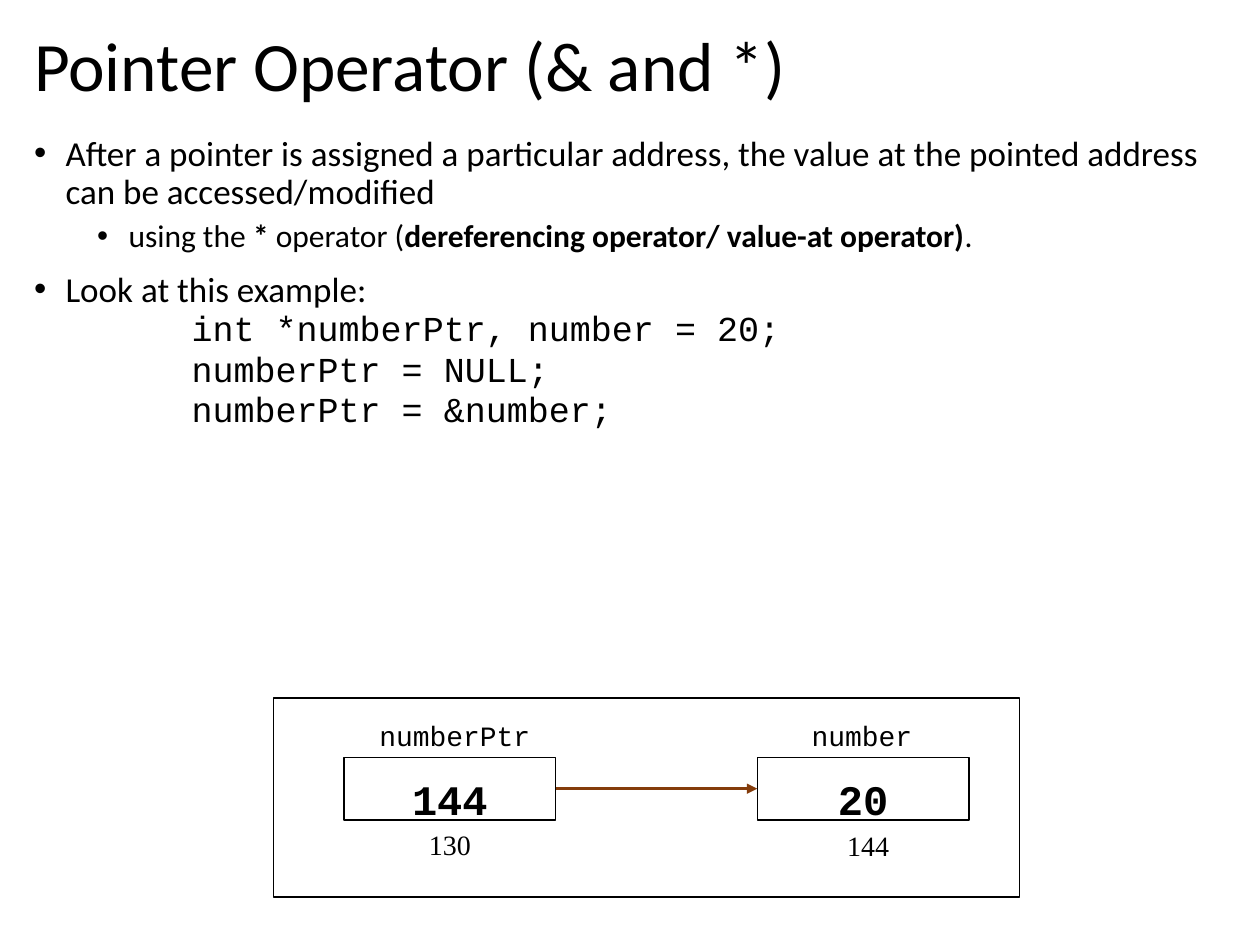
from dataclasses import dataclass

from lxml import etree
from pptx import Presentation
from pptx.dml.color import RGBColor
from pptx.enum.shapes import MSO_CONNECTOR, MSO_SHAPE
from pptx.enum.text import MSO_ANCHOR, MSO_AUTO_SIZE, PP_ALIGN
from pptx.oxml.ns import qn
from pptx.util import Inches, Pt

BLACK = RGBColor(0x00, 0x00, 0x00)
BROWN = RGBColor(0x84, 0x3C, 0x0B)
SANS, MONO, SERIF = "Calibri", "Courier New", "Times New Roman"
LEFT, MID = PP_ALIGN.LEFT, PP_ALIGN.CENTER
TOP, CENTER = MSO_ANCHOR.TOP, MSO_ANCHOR.MIDDLE
FIXED = MSO_AUTO_SIZE.NONE
RECT, LINE = MSO_SHAPE.RECTANGLE, MSO_CONNECTOR.STRAIGHT

WIDE, HIGH = Inches(10), Inches(7.5)
COLS, ROWS = 100, 75
BOX_W, BOX_H, TAG_H = 16.8, 5, 3.7
NAME_ROW, BOX_ROW = 56.2, 60.1


@dataclass
class Cell:
    """A named memory cell; mids are the centre columns of its parts."""
    name: str
    value: str
    addr: str
    col: float
    name_mid: float
    addr_mid: float
    addr_row: float


@dataclass
class Item:
    """A body paragraph; runs alternate between plain and bold."""
    runs: list[str]
    size: int = 20
    font: str = SANS
    left: float = 0.25
    hang: float = 0.25
    level: int = 0
    before: int = 10
    line: float = 0.9
    dot: bool = True


def code(text: str) -> Item:
    return Item([text], font=MONO, left=1.25, hang=0, before=0, line=0.96, dot=False)


CELLS = [
    Cell("numberPtr", "144", "130", 27.3, 36.1, 35.7, 64.9),
    Cell("number", "20", "144", 60.1, 68.4, 68.9, 65),
]
ITEMS = [
    Item(["After a pointer is assigned a particular address, the value at the "
          "pointed address can be accessed/modified"]),
    Item(["using the ", "* ", "operator (",
          "dereferencing operator/ value-at operator)", "."],
         size=18, left=0.75, level=1, before=5),
    Item(["Look at this example:"]),
    code("int *numberPtr, number = 20;"),
    code("numberPtr = NULL;"),
    code("numberPtr = &number;"),
]


def area(col: float, row: float, cols: float, rows: float) -> tuple[int, ...]:
    """Turn grid units into left, top, width and height."""
    return (int(WIDE * col / COLS), int(HIGH * row / ROWS),
            int(WIDE * cols / COLS), int(HIGH * rows / ROWS))


def place(shape, spot: tuple[int, ...]) -> None:
    shape.left, shape.top, shape.width, shape.height = spot


def write(para, text: str, *, size: float, font: str = SANS, bold: bool = False,
          align=LEFT) -> None:
    para.alignment = align
    run = para.add_run()
    run.text = text
    run.font.size, run.font.name, run.font.bold = Pt(size), font, bold
    run.font.color.rgb = BLACK


def setup(frame, anchor=TOP, top: float = 0.05) -> None:
    frame.word_wrap, frame.auto_size = True, FIXED
    frame.vertical_anchor, frame.margin_top = anchor, Inches(top)


def add_item(para, item: Item) -> None:
    para.level, para.line_spacing = item.level, item.line
    para.space_before, para.space_after = Pt(item.before), Pt(0)
    for i, text in enumerate(item.runs):
        write(para, text, size=item.size, font=item.font, bold=i % 2 == 1)
    props = para._p.get_or_add_pPr()
    props.set("marL", str(Inches(item.left)))
    props.set("indent", str(-Inches(item.hang)))
    if item.dot:
        etree.SubElement(props, qn("a:buFont")).set("typeface", "Arial")
        etree.SubElement(props, qn("a:buChar")).set("char", "•")
    else:
        etree.SubElement(props, qn("a:buNone"))


def add_box(slide, spot: tuple[int, ...]):
    box = slide.shapes.add_shape(RECT, *spot)
    box.shadow.inherit = False
    box.fill.background()
    box.line.color.rgb, box.line.width = BLACK, Pt(0.75)
    return box


def add_tag(slide, text: str, mid: float, row: float, font: str) -> None:
    """Add a label centred on a column."""
    tag = slide.shapes.add_textbox(*area(mid - 7.2, row, 14.4, TAG_H))
    setup(tag.text_frame, top=0.08)
    write(tag.text_frame.paragraphs[0], text, size=16, font=font, align=MID)


def add_cell(slide, cell: Cell):
    box = add_box(slide, area(cell.col, BOX_ROW, BOX_W, BOX_H))
    setup(box.text_frame, top=0.13)
    box.text_frame.margin_bottom = 0
    write(box.text_frame.paragraphs[0], cell.value, size=24, font=MONO,
          bold=True, align=MID)
    add_tag(slide, cell.name, cell.name_mid, NAME_ROW, MONO)
    add_tag(slide, cell.addr, cell.addr_mid, cell.addr_row, SERIF)
    return box


def add_arrow(slide, start, end) -> None:
    """Point from the right side of one box to the left side of another."""
    arrow = slide.shapes.add_connector(LINE, 0, 0, 0, 0)
    arrow.begin_connect(start, 3)
    arrow.end_connect(end, 1)
    arrow.line.color.rgb, arrow.line.width = BROWN, Pt(1.75)
    stroke = arrow.line._get_or_add_ln()
    etree.SubElement(stroke, qn("a:tailEnd")).set("type", "triangle")
    etree.SubElement(arrow._element.spPr, qn("a:effectLst"))


def main() -> None:
    deck = Presentation()
    deck.slide_width, deck.slide_height = WIDE, HIGH
    slide = deck.slides.add_slide(deck.slide_layouts[1])

    title, body = slide.placeholders
    place(title, area(1.7, 1.8, 96.2, 7.4))
    setup(title.text_frame, CENTER)
    head = title.text_frame.paragraphs[0]
    head.line_spacing = 0.9
    write(head, "Pointer Operator (& and *)", size=39.6)

    place(body, area(1.7, 10.3, 96.2, 57.3))
    frame = body.text_frame
    setup(frame)
    for i, item in enumerate(ITEMS):
        add_item(frame.add_paragraph() if i else frame.paragraphs[0], item)

    add_box(slide, area(21.7, 55.4, 59.2, 15.8))
    add_arrow(slide, *[add_cell(slide, cell) for cell in CELLS])
    deck.save("out.pptx")


if __name__ == "__main__":
    main()
